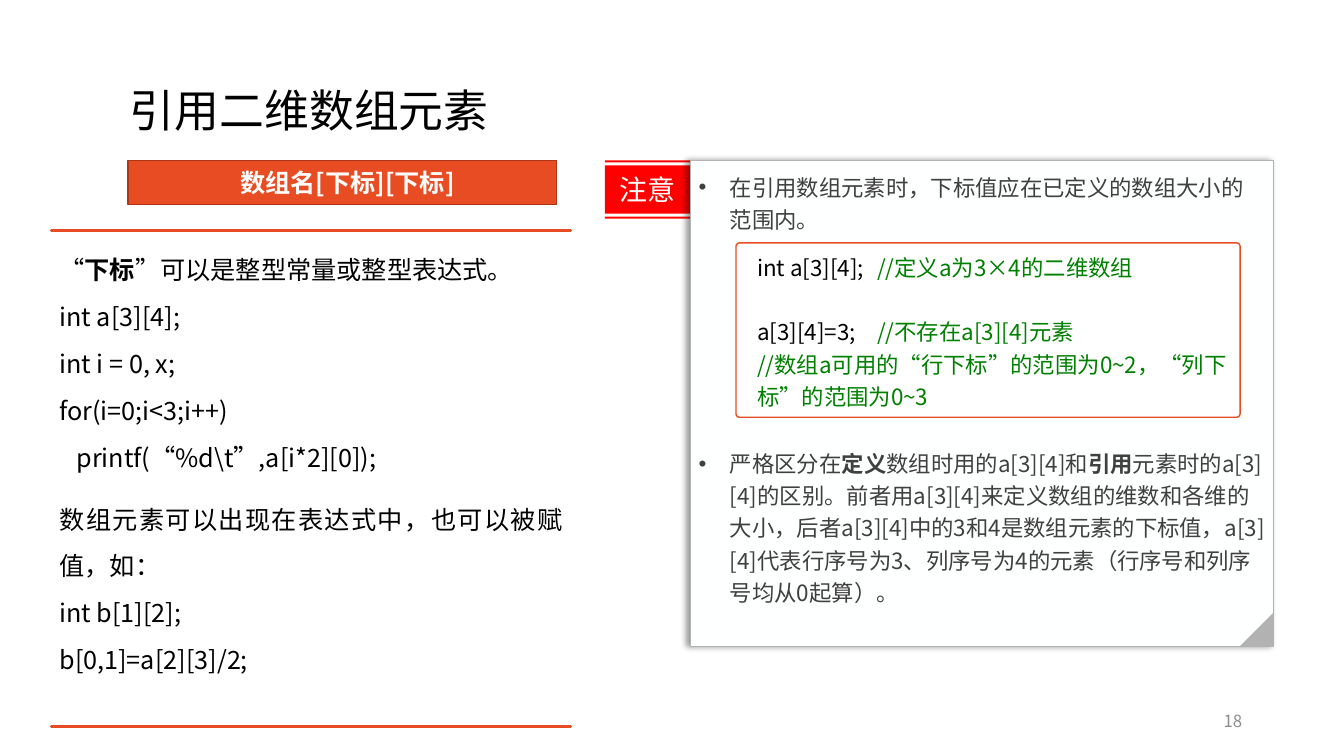
from dataclasses import dataclass

from lxml.etree import SubElement
from pptx import Presentation
from pptx.dml.color import RGBColor
from pptx.enum.shapes import MSO_SHAPE as Shape
from pptx.enum.text import MSO_ANCHOR as Anchor, PP_ALIGN as Align
from pptx.oxml.ns import qn
from pptx.util import Inches, Pt


@dataclass(frozen=True)
class Theme:
    font: str = "Noto Sans CJK SC"
    bullet_font: str = "Arial"
    accent: str = "E84C22"
    accent_edge: str = "AC3819"
    alert: str = "FF0000"
    paper: str = "FEFFFF"
    white: str = "FFFFFF"
    black: str = "000000"
    ink: str = "404040"
    comment: str = "008000"
    edge: str = "B2B2B2"
    muted: str = "8C8C8C"
    title: int = 32
    tag: int = 20
    body: int = 18
    note: int = 16
    number: int = 12


THEME = Theme()
CELL = 1 / 12  # grid cell in inches: 160 columns by 90 rows


@dataclass(frozen=True)
class Box:
    col: float
    row: float
    cols: float
    rows: float

    def cut(self, col, row, cols, rows):
        return Box(self.col + col, self.row + row, cols, rows)

    def lengths(self):
        return [Inches(n * CELL) for n in (self.col, self.row, self.cols, self.rows)]


def color(value):
    return RGBColor.from_string(value)


def paint(shape, fill=None, edge=None, weight=1):
    shape.shadow.inherit = False
    if fill:
        shape.fill.solid()
        shape.fill.fore_color.rgb = color(fill)
    else:
        shape.fill.background()
    if edge:
        shape.line.color.rgb = color(edge)
        shape.line.width = Pt(weight)
    else:
        shape.line.fill.background()
    return shape


def add_block(page, box, fill, edge=None, weight=1, kind=Shape.RECTANGLE):
    block = page.shapes.add_shape(kind, *box.lengths())
    return paint(block, fill, edge, weight)


def add_bands(page, box, bands):
    """One outline made of full-width bands, each a (row, rows) pair."""
    outline = None
    for row, rows in bands:
        left, top, width, height = box.cut(0, row, box.cols, rows).lengths()
        if outline:
            outline.move_to(left, top)
        else:
            outline = page.shapes.build_freeform(left, top)
        corners = [(left + width, top)]
        if rows:
            corners += [(left + width, top + height), (left, top + height)]
        outline.add_line_segments(corners, close=True)
    return outline.convert_to_shape()


def set_frame(shape, anchor=Anchor.TOP, insets=(0.1, 0.05, 0.1, 0.05)):
    frame = shape.text_frame
    frame.word_wrap = True
    frame.vertical_anchor = anchor
    (frame.margin_left, frame.margin_top,
     frame.margin_right, frame.margin_bottom) = map(Inches, insets)
    return frame


def add_para(frame, spans, size, ink, align=Align.LEFT, leading=None,
             before=0, after=0, bold=None, bullet=False, tab=None):
    """Spans are (text, style) pairs; a style is None, "bold" or a colour."""
    para = frame.paragraphs[0]
    if para.runs:
        para = frame.add_paragraph()
    para.alignment = align
    para.line_spacing = leading
    para.space_before, para.space_after = Pt(before), Pt(after)
    props = para._p.get_or_add_pPr()
    if bullet:
        props.set("marL", str(Inches(0.31)))
        props.set("indent", str(-Inches(0.31)))
        SubElement(props, qn("a:buFont"), typeface=THEME.bullet_font)
        SubElement(props, qn("a:buChar"), char="•")
    if tab:
        tabs = SubElement(props, qn("a:tabLst"))
        SubElement(tabs, qn("a:tab"), pos=str(Inches(tab)), algn="l")
    para.font.name = THEME.font
    para.font.size = Pt(size)
    para.font.bold = bold
    para.font.color.rgb = color(ink)
    SubElement(para.font._element, qn("a:ea"), typeface=THEME.font)
    for text, style in spans:
        span = para.add_run()
        span.text = text
        if style == "bold":
            span.font.bold = True
        elif style:
            span.font.color.rgb = color(style)


def add_label(page, box, text, size, ink, align=Align.LEFT, leading=None):
    frame = set_frame(page.shapes.add_textbox(*box.lengths()), Anchor.MIDDLE)
    add_para(frame, [(text, None)], size, ink, align, leading)


def add_banner(page, box):
    block = add_block(page, box, THEME.accent, THEME.accent_edge)
    frame = set_frame(block, Anchor.MIDDLE, (0.2, 0.05, 0.1, 0.05))
    add_para(frame, [("数组名[下标][下标]", None)], THEME.body, THEME.white,
             Align.CENTER, bold=True)


def add_usage(page, box):
    # Text between a rule above and a rule below
    rules = add_bands(page, box, [(box.rows, 0), (0, 0)])
    paint(rules, edge=THEME.accent, weight=2)
    frame = set_frame(rules, insets=(0.08, 0.08, 0.08, 0.08))
    single, wide = Pt(21.6), Pt(32.4)
    paras = [
        (wide, [("“", None), ("下标", "bold"), ("”可以是整型常量或整型表达式。", None)]),
        (single, [("int a[3][4];", None)]),
        (single, [("int i = 0, x;", None)]),
        (single, [("for(i=0;i<3;i++)", None)]),
        (single, [("   printf(“%d\\t”,a[i*2][0]);", None)]),
        (wide, [("数组元素可以出现在表达式中，也可以被赋值，如：", None)]),
        (single, [("int b[1][2];", None)]),
        (single, [("b[0,1]=a[2][3]/2;", None)]),
    ]
    for index, (leading, spans) in enumerate(paras):
        add_para(frame, spans, THEME.body, THEME.black, Align.JUSTIFY, leading,
                 before=6 if index else 0, after=6)


def add_tag(page, box):
    stripe, inset = 0.24, 0.6
    tag = add_bands(page, box, [(box.rows - stripe, stripe),
                                (inset, box.rows - 2 * inset), (0, stripe)])
    paint(tag, THEME.alert)
    add_para(set_frame(tag, Anchor.MIDDLE), [("注意", None)], THEME.tag,
             THEME.paper, Align.CENTER)


def add_panel(page, box):
    panel = add_block(page, box, THEME.paper, THEME.edge, 0.75)
    effects = panel._element.spPr.find(qn("a:effectLst"))
    shadow = SubElement(effects, qn("a:outerShdw"), blurRad=str(Pt(4)),
                        dist=str(Pt(3)), dir="10800000", rotWithShape="0")
    tint = SubElement(shadow, qn("a:srgbClr"), val=THEME.black)
    SubElement(tint, qn("a:alpha"), val="40000")
    frame = set_frame(panel, insets=(0.08, 0.08, 0.08, 0.08))
    leading = Pt(23)
    add_para(frame, [("在引用数组元素时，下标值应在已定义的数组大小的范围内。", None)],
             THEME.note, THEME.ink, leading=leading, after=6, bullet=True)
    add_para(frame, [
        ("严格区分在", None), ("定义", "bold"), ("数组时用的a[3][4]和", None),
        ("引用", "bold"),
        ("元素时的a[3][4]的区别。前者用a[3][4]来定义数组的维数和各维的大小，"
         "后者a[3][4]中的3和4是数组元素的下标值，a[3][4]代表行序号为3、"
         "列序号为4的元素（行序号和列序号均从0起算）。", None),
    ], THEME.note, THEME.ink, leading=leading, before=145.5, after=6, bullet=True)
    # Folded corner
    fold = 3.96
    corner = box.cut(box.cols - fold, box.rows - fold, fold, fold)
    add_block(page, corner, THEME.edge, kind=Shape.RIGHT_TRIANGLE).rotation = 270


def add_code(page, box):
    block = add_block(page, box, THEME.white, THEME.accent, kind=Shape.ROUNDED_RECTANGLE)
    block.adjustments[0] = 0.02
    frame = set_frame(block, insets=(0.2, 0.05, 0.1, 0.05))
    lines = [
        (0, [("int a[3][4];\t", None), ("//定义a为3×4的二维数组", THEME.comment)]),
        (23, [("a[3][4]=3;\t", None), ("//不存在a[3][4]元素", THEME.comment)]),
        (0, [("//数组a可用的“行下标”的范围为0~2，“列下标”的范围为0~3", THEME.comment)]),
    ]
    for before, spans in lines:
        add_para(frame, spans, THEME.note, THEME.black, leading=Pt(23),
                 before=before, tab=1.19)


def add_note(page, box):
    tag_cols = 10.2
    add_tag(page, box.cut(0, 0, tag_cols, 6.96))
    add_panel(page, box.cut(tag_cols, 0, box.cols - tag_cols, box.rows))
    add_code(page, box.cut(15.6, 9.84, 60, 20.76))


def main():
    deck = Presentation()
    deck.slide_width, deck.slide_height = Inches(13.33), Inches(7.5)
    page = deck.slides.add_slide(deck.slide_layouts[6])
    grid = Box(0, 0, 160, 90)
    add_label(page, grid.cut(14.28, 4.8, 77.76, 17.4), "引用二维数组元素",
              THEME.title, THEME.black, leading=0.9)
    add_banner(page, grid.cut(15.24, 19.08, 51, 5.28))
    add_usage(page, grid.cut(6.12, 27.48, 61.8, 59.04))
    add_note(page, grid.cut(72, 19.08, 79.56, 57.84))
    add_label(page, grid.cut(113.04, 83.4, 36, 4.8), "18", THEME.number,
              THEME.muted, Align.RIGHT)
    deck.save("out.pptx")


if __name__ == "__main__":
    main()
